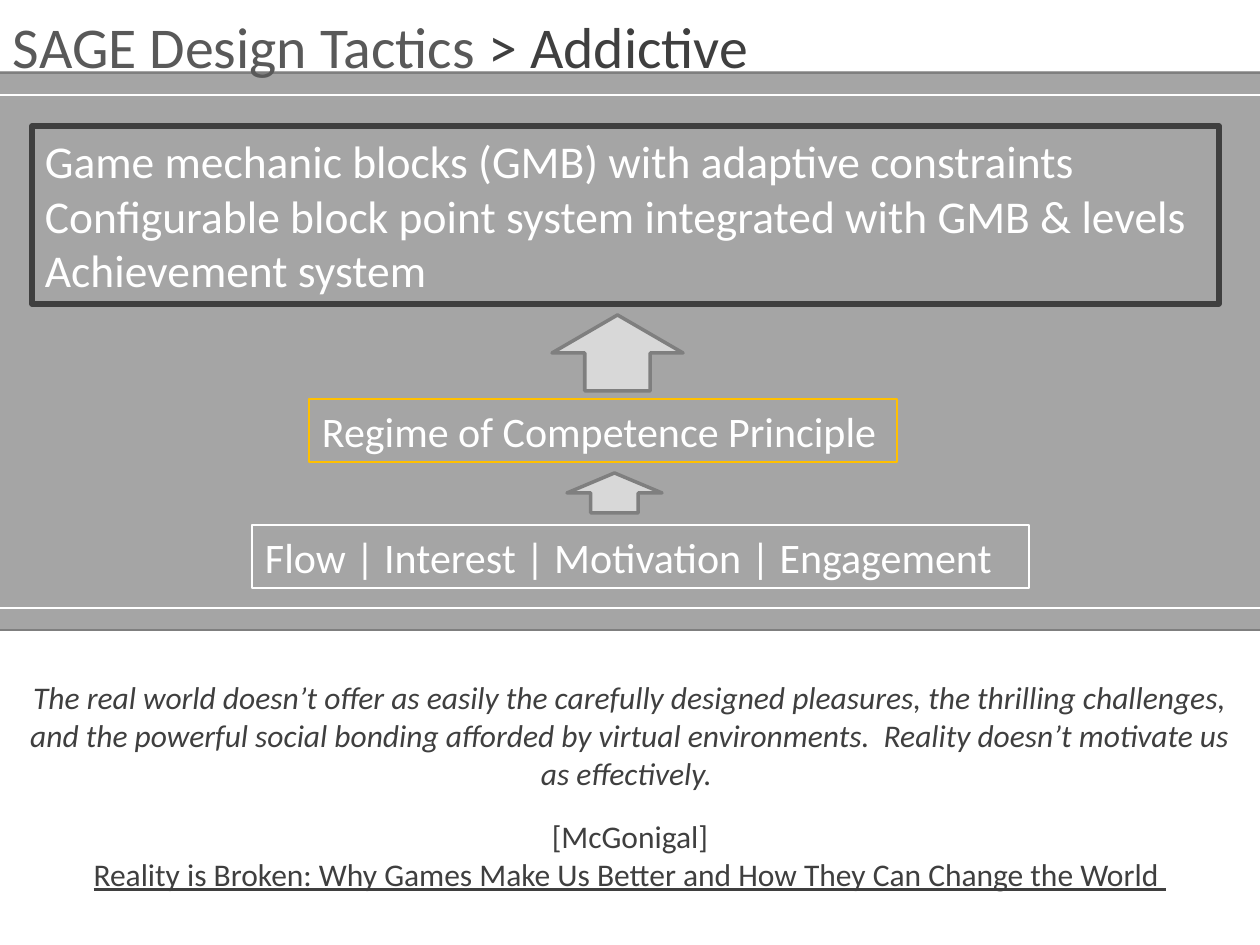
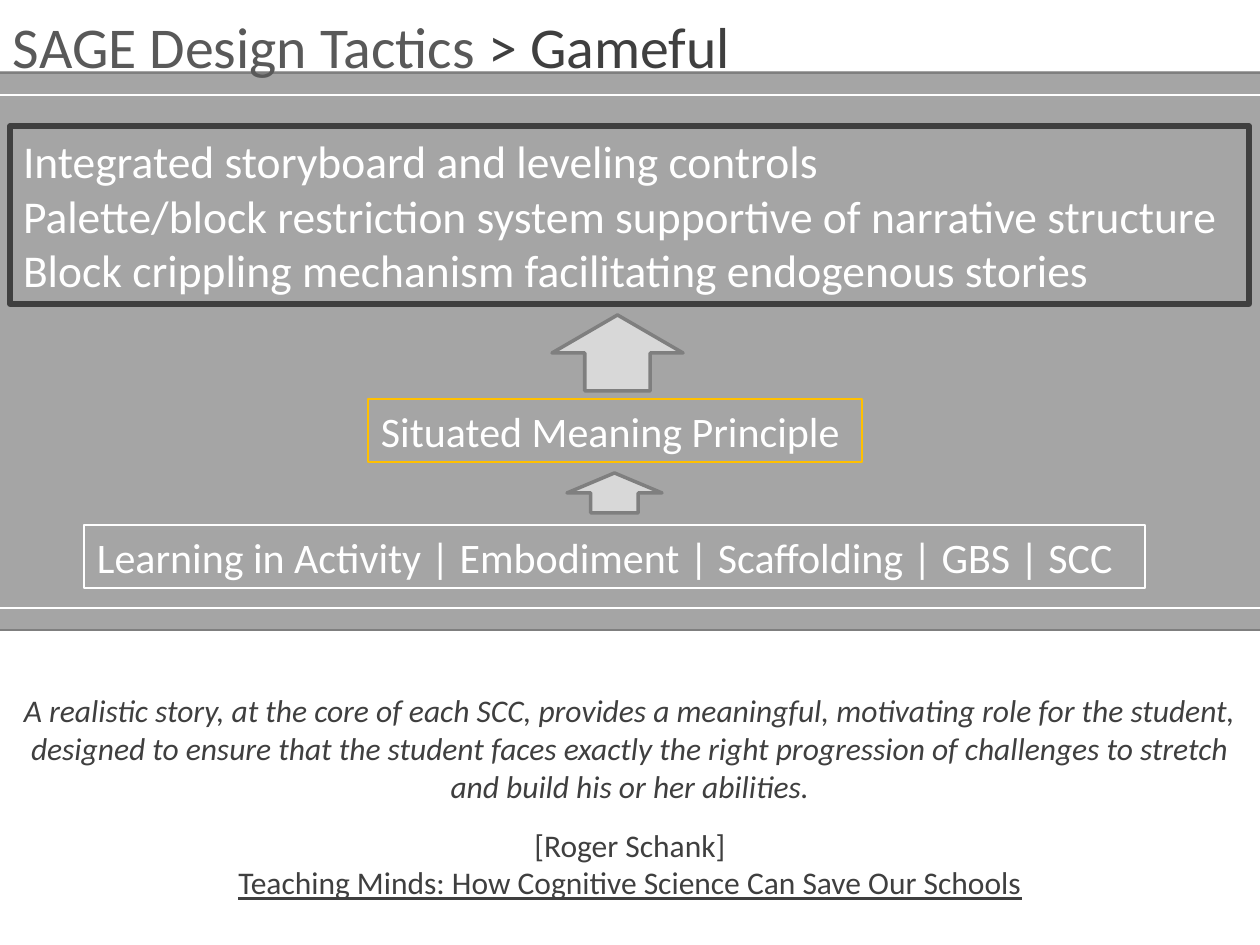
from lxml import etree
from pptx import Presentation
from pptx.dml.color import RGBColor
from pptx.enum.shapes import MSO_CONNECTOR, MSO_SHAPE
from pptx.enum.text import MSO_ANCHOR, PP_ALIGN
from pptx.oxml.ns import qn
from pptx.util import Pt

RECT, ARROW = MSO_SHAPE.RECTANGLE, MSO_SHAPE.UP_ARROW
STRAIGHT = MSO_CONNECTOR.STRAIGHT
TOP, MIDDLE = MSO_ANCHOR.TOP, MSO_ANCHOR.MIDDLE
LEFT, CENTER = PP_ALIGN.LEFT, PP_ALIGN.CENTER

WHITE = RGBColor(0xFF, 0xFF, 0xFF)
BAND = RGBColor(0xA5, 0xA5, 0xA5)
EDGE = RGBColor(0x7F, 0x7F, 0x7F)
PALE = RGBColor(0xD8, 0xD8, 0xD8)
GOLD = RGBColor(0xFF, 0xC0, 0x00)
DARK = RGBColor(0x3F, 0x3F, 0x3F)
GREY = RGBColor(0x59, 0x59, 0x59)

FONT = "Calibri"
SCALE = 914400 / 126
WIDE, HIGH = 1260, 945


def px(*sizes):
    return [round(size * SCALE) for size in sizes]


def write(para, text, size, color, **style):
    run = para.add_run()
    run.text = text
    run.font.color.rgb = color
    for name, value in {"name": FONT, "size": Pt(size), **style}.items():
        setattr(run.font, name, value)


def set_frame(frame, anchor):
    left, top = px(13, 6)
    values = {"word_wrap": True, "vertical_anchor": anchor,
              "margin_left": left, "margin_right": left,
              "margin_top": top, "margin_bottom": top}
    for name, value in values.items():
        setattr(frame, name, value)


def add_block(shapes, kind, box, fill, edge, weight):
    block = shapes.add_shape(kind, *px(*box))
    block.shadow.inherit = False
    if fill is None:
        block.fill.background()
    else:
        block.fill.solid()
        block.fill.fore_color.rgb = fill
    block.line.color.rgb = edge
    block.line.width = Pt(weight)
    return block


def add_label(slide, box, lines, size, edge, weight):
    frame = add_block(slide.shapes, RECT, box, None, edge, weight).text_frame
    set_frame(frame, MIDDLE)
    for i, text in enumerate(lines):
        para = frame.add_paragraph() if i else frame.paragraphs[0]
        para.alignment = LEFT
        write(para, text, size, WHITE)


def add_rule(shapes, left, top, width, color):
    rule = shapes.add_connector(STRAIGHT, *px(left, top, left + width, top))
    rule.line.color.rgb = color
    rule.line.width = Pt(0.75)
    etree.SubElement(rule._element.spPr, qn("a:effectLst"))


def add_band(slide, box):
    """Grey band with white inner rules and grey outer rules."""
    left, top, width, high = box
    shapes = slide.shapes.add_group_shape().shapes
    add_block(shapes, RECT, (left, top, width, high - 2), BAND, BAND, 2)
    inset = 22
    for down, color in ((inset, WHITE), (high - inset, WHITE),
                        (0, EDGE), (high, EDGE)):
        add_rule(shapes, left, top + down, width, color)


def add_title(slide, box, topic):
    frame = slide.shapes.add_textbox(*px(*box)).text_frame
    set_frame(frame, TOP)
    para = frame.paragraphs[0]
    write(para, "SAGE Design Tactics ", 33, GREY)
    write(para, "> " + topic, 33, DARK)


def add_ladder(slide, box, tactic, rule, base):
    """Three labels, each pointing up to the next; spans are (left, width)."""
    left, top, _, _ = box
    for x, y, width, high in ((567, 400, 95, 40), (552, 242, 131, 76)):
        add_block(slide.shapes, ARROW, (left + x, top + y, width, high),
                  PALE, EDGE, 2)
    rows = ((tactic, 53, 178, 26, DARK, 3), (rule, 326, 63, 24, GOLD, 1),
            (base, 452, 63, 24, WHITE, 0.75))
    for ((x, width), lines), y, high, size, edge, weight in rows:
        add_label(slide, (left + x, top + y, width, high), lines, size,
                  edge, weight)


def add_quote(slide, box, quote, author, book, gap):
    frame = slide.shapes.add_textbox(*px(*box)).text_frame
    set_frame(frame, TOP)
    parts = ((quote, 0, {"italic": True}), (author, gap, {}),
             (book, 0, {"underline": True}))
    for i, (text, space, style) in enumerate(parts):
        para = frame.add_paragraph() if i else frame.paragraphs[0]
        para.alignment = CENTER
        para.space_before = Pt(space)
        write(para, text, 18, DARK, **style)


def add_tactic(deck, topic, ladder, quote, top, gap):
    slide = deck.slides.add_slide(deck.slide_layouts[6])
    band = (0, 73, WIDE, 557)
    add_band(slide, band)
    add_title(slide, (0, 5, WIDE + 10, 152), topic)
    add_ladder(slide, band, *ladder)
    add_quote(slide, (0, top, WIDE, 229), *quote, gap)


TACTICS = [
    {"topic": "Addictive",
     "ladder": (
         ((32, 1187), [
             "Game mechanic blocks (GMB) with adaptive constraints",
             "Configurable block point system integrated with GMB & levels",
             "Achievement system"]),
         ((309, 588), ["Regime of Competence Principle"]),
         ((252, 777), ["Flow | Interest | Motivation | Engagement"])),
     "quote": (
         "The real world doesn’t offer as easily the carefully designed "
         "pleasures, the thrilling challenges, and the powerful social "
         "bonding afforded by virtual environments.  Reality doesn’t "
         "motivate us as effectively. ",
         "[McGonigal]",
         "Reality is Broken: Why Games Make Us Better and How They Can "
         "Change the World "),
     "top": 672, "gap": 14.6},
    {"topic": "Gameful",
     "ladder": (
         ((10, 1239), [
             "Integrated storyboard and leveling controls",
             "Palette/block restriction system supportive of narrative "
             "structure",
             "Block crippling mechanism facilitating endogenous stories"]),
         ((368, 494), ["Situated Meaning Principle"]),
         ((84, 1061), ["Learning in Activity | Embodiment | Scaffolding | "
                       "GBS | SCC"])),
     "quote": (
         "A realistic story, at the core of each SCC, provides a "
         "meaningful, motivating role for the student, designed to ensure "
         "that the student faces exactly the right progression of "
         "challenges to stretch and build his or her abilities.",
         "[Roger Schank]",
         "Teaching Minds: How Cognitive Science Can Save Our Schools"),
     "top": 685, "gap": 12.2},
]


def main():
    deck = Presentation()
    deck.slide_width, deck.slide_height = px(WIDE, HIGH)
    for tactic in TACTICS:
        add_tactic(deck, **tactic)
    deck.save("out.pptx")


if __name__ == "__main__":
    main()
